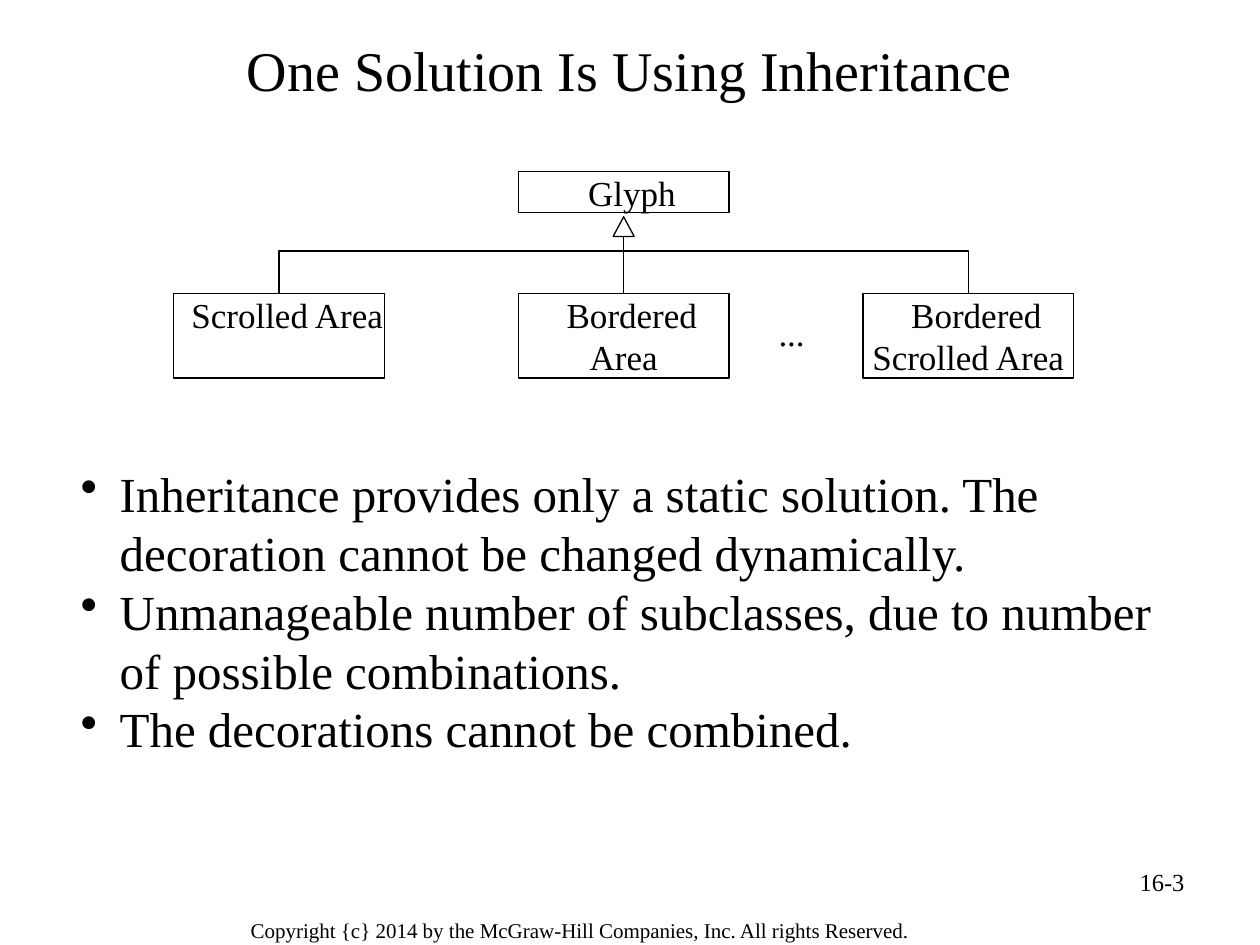
from collections import namedtuple
from dataclasses import dataclass

from lxml.etree import SubElement
from pptx import Presentation
from pptx.dml.color import RGBColor
from pptx.enum.shapes import MSO_CONNECTOR as Link, MSO_SHAPE as Preset
from pptx.enum.text import MSO_ANCHOR as Anchor, PP_ALIGN as Align
from pptx.oxml.ns import qn
from pptx.util import Inches, Pt

Box = namedtuple("Box", "left top width height")


@dataclass(frozen=True)
class Theme:
    ink: RGBColor = RGBColor(0, 0, 0)
    face: str = "Times New Roman"
    title: int = 32
    body: int = 28
    node: int = 20
    number: int = 14
    footer: int = 12
    stroke: float = 0.75


THEME = Theme()


def emu(box):
    return [Inches(length) for length in box]


def set_all(target, values):
    for key, value in values.items():
        setattr(target, key, value)


def write(frame, lines, size, align=Align.LEFT, anchor=Anchor.TOP,
          inset=(0, 0), wrap=True, indent=0, bullet=None):
    across, down = (Inches(gap) for gap in inset)
    set_all(frame, dict(word_wrap=wrap, vertical_anchor=anchor,
                        margin_left=across, margin_right=across,
                        margin_top=down, margin_bottom=down))
    for index, line in enumerate(lines):
        paragraph = frame.paragraphs[0] if index == 0 else frame.add_paragraph()
        paragraph.text = line
        paragraph.alignment = align
        properties = paragraph._p.get_or_add_pPr()
        properties.set("indent", str(Inches(-indent if bullet else indent)))
        if bullet:
            properties.set("marL", str(Inches(indent)))
            SubElement(properties, qn("a:buChar"), char=bullet)
        set_all(paragraph.font, dict(name=THEME.face, size=Pt(size)))
        paragraph.font.color.rgb = THEME.ink


def add_text(slide, box, lines, size, **options):
    label = slide.shapes.add_textbox(*emu(box))
    write(label.text_frame, lines, size, **options)


def outline(shape):
    shape.shadow.inherit = False
    shape.fill.background()
    ink_line(shape)


def ink_line(shape):
    shape.line.color.rgb = THEME.ink
    shape.line.width = Pt(THEME.stroke)


def add_class(slide, box, name):
    node = slide.shapes.add_shape(Preset.RECTANGLE, *emu(box))
    outline(node)
    write(node.text_frame, [name], THEME.node, align=Align.CENTER, indent=0.13)


def add_title(slide, box, text):
    title = slide.shapes.title
    set_all(title, dict(zip(Box._fields, emu(box))))
    write(title.text_frame, [text], THEME.title, align=Align.CENTER,
          anchor=Anchor.MIDDLE, inset=(0.1, 0.05))


def add_hierarchy(slide, box, parent, children):
    node_width = box.width * 0.234
    child_height = box.height * 0.41
    child_top = box.top + box.height - child_height
    pitch = (box.width - node_width) / (len(children) - 1)
    lefts = [box.left + column * pitch for column in range(len(children))]
    centre = box.left + box.width / 2
    bus = box.top + box.height * 0.385

    add_class(slide, Box(centre - node_width / 2, box.top,
                         node_width, box.height * 0.2), parent)
    for left, name in zip(lefts, children):
        add_class(slide, Box(left, child_top, node_width, child_height), name)

    head = Box(centre - node_width * 0.05, box.top + box.height * 0.22,
               node_width * 0.1, box.height * 0.095)
    arrowhead = slide.shapes.add_shape(Preset.ISOSCELES_TRIANGLE, *emu(head))
    outline(arrowhead)

    trunk = slide.shapes.add_connector(
        Link.STRAIGHT,
        *emu((centre, head.top + head.height, centre, child_top)))
    ink_line(trunk)
    SubElement(trunk._element.spPr, qn("a:effectLst"))

    first, last = (left + node_width / 2 for left in (lefts[0], lefts[-1]))
    start, *bends = [emu(point) for point in (
        (first, child_top), (first, bus), (last, bus), (last, child_top))]
    builder = slide.shapes.build_freeform(*start)
    builder.add_line_segments(bends, close=False)
    outline(builder.convert_to_shape())

    gap = pitch - node_width
    add_text(slide, Box(lefts[-1] - gap * 0.63, child_top + child_height * 0.22,
                        gap * 0.2, child_height / 2),
             ["..."], THEME.node, wrap=False)


def add_drawbacks(slide, box, points):
    add_text(slide, box, points, THEME.body, indent=0.31, bullet="•")


def add_footer(slide, box, notice, number):
    add_text(slide, Box(box.left, box.top + 0.39, 6.19, 0.31), [notice],
             THEME.footer, inset=(0.11, 0.06))
    add_text(slide, Box(box.left + box.width - 2.33, box.top, 2.33, 0.52),
             [number], THEME.number, align=Align.RIGHT, inset=(0.1, 0.05))


def main():
    deck = Presentation()
    set_all(deck, dict(slide_width=Inches(10), slide_height=Inches(7.5)))
    slide = deck.slides.add_slide(deck.slide_layouts[5])
    add_title(slide, Box(0.5, 0.17, 9, 0.75),
              "One Solution Is Using Inheritance")
    add_hierarchy(slide, Box(1.38, 1.36, 7.14, 1.64), "Glyph",
                  ["Scrolled Area", "Bordered Area", "Bordered Scrolled Area"])
    add_drawbacks(slide, Box(0.64, 3.68, 8.75, 2.34), [
        "Inheritance provides only a static solution. The decoration "
        "cannot be changed dynamically.",
        "Unmanageable number of subclasses, due to number of possible "
        "combinations.",
        "The decorations cannot be combined.",
    ])
    add_footer(slide, Box(1.88, 6.83, 7.62, 0.7),
               "Copyright {c} 2014 by the McGraw-Hill Companies, Inc. "
               "All rights Reserved.", "16-3")
    deck.save("out.pptx")


if __name__ == "__main__":
    main()
